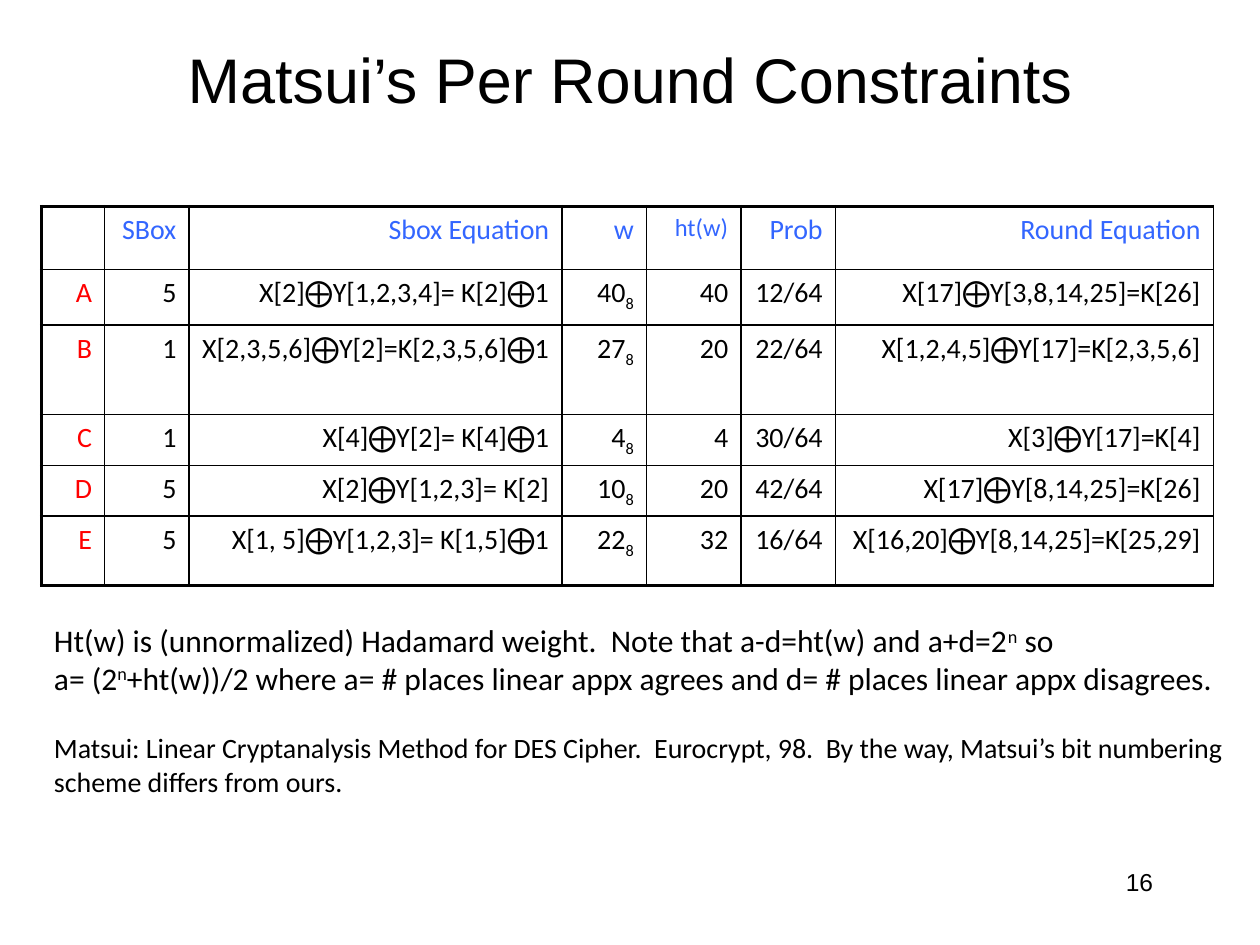
from dataclasses import dataclass

from lxml import etree
from pptx import Presentation
from pptx.dml.color import RGBColor
from pptx.enum.text import MSO_ANCHOR, MSO_AUTO_SIZE, PP_ALIGN
from pptx.oxml.ns import qn
from pptx.util import Inches, Pt

LEFT, CENTER, RIGHT = PP_ALIGN.LEFT, PP_ALIGN.CENTER, PP_ALIGN.RIGHT
MIDDLE = MSO_ANCHOR.MIDDLE
NO_FIT = MSO_AUTO_SIZE.NONE

COLS = [0.5, 0.67, 2.96, 0.67, 0.75, 0.75, 3]
ROWS = [0.5, 0.44, 0.71, 0.4, 0.4, 0.55]
HEAD = ["", "SBox", "Sbox Equation", "w", "ht(w)", "Prob", "Round Equation"]
# Text between bars is lowered in the table and raised in the notes.
BODY = [
    ["A", "5", "X[2]⨁Y[1,2,3,4]= K[2]⨁1", "40|8|", "40", "12/64",
     "X[17]⨁Y[3,8,14,25]=K[26]"],
    ["B", "1", "X[2,3,5,6]⨁Y[2]=K[2,3,5,6]⨁1", "27|8|", "20", "22/64",
     "X[1,2,4,5]⨁Y[17]=K[2,3,5,6]"],
    ["C", "1", "X[4]⨁Y[2]= K[4]⨁1", "4|8|", "4", "30/64", "X[3]⨁Y[17]=K[4]"],
    ["D", "5", "X[2]⨁Y[1,2,3]= K[2]", "10|8|", "20", "42/64",
     "X[17]⨁Y[8,14,25]=K[26]"],
    ["E", "5", "X[1, 5]⨁Y[1,2,3]= K[1,5]⨁1", "22|8|", "32", "16/64",
     "X[16,20]⨁Y[8,14,25]=K[25,29]"],
]


@dataclass(frozen=True)
class Theme:
    ink: str = "000000"
    head: str = "3366FF"
    label: str = "FF0000"
    sans: str = "Arial"
    text: str = "Calibri"
    title: int = 36
    note: int = 18
    cell: int = 16
    small: int = 14
    thin: float = 1
    thick: float = 2.25


class Deck:
    def __init__(self, theme):
        self.theme = theme
        self.prs = Presentation()
        self.prs.slide_width, self.prs.slide_height = Inches(10), Inches(7.5)
        self.slide = self.prs.slides.add_slide(self.prs.slide_layouts[5])

    def fill(self, para, text, size, font, color, align=LEFT, shift=0):
        """Fill a paragraph; parts between bars get the baseline shift."""
        para.alignment = align
        for i, part in enumerate(text.split("|")):
            if not part:
                continue
            run = para.add_run()
            run.text = part
            run.font.size, run.font.name = Pt(size), font
            run.font.color.rgb = RGBColor.from_string(color)
            if i % 2:
                run._r.get_or_add_rPr().set("baseline", str(shift * 1000))

    def title(self, text, box):
        shape = self.slide.shapes.title
        shape.left, shape.top, shape.width, shape.height = map(Inches, box)
        frame = shape.text_frame
        frame.auto_size, frame.vertical_anchor = NO_FIT, MIDDLE
        self.fill(frame.paragraphs[0], text, self.theme.title,
                  self.theme.sans, self.theme.ink, CENTER)

    def text(self, box, lines, font, align=LEFT):
        """Add a text box; each line is (text, size, space before)."""
        frame = self.slide.shapes.add_textbox(*map(Inches, box)).text_frame
        frame.word_wrap = True
        for i, (line, size, gap) in enumerate(lines):
            para = frame.add_paragraph() if i else frame.paragraphs[0]
            if gap:
                para.space_before = Pt(gap)
            self.fill(para, line, size, font, self.theme.ink, align, 30)

    def border(self, cell, widths):
        props = cell._tc.get_or_add_tcPr()
        for side, width in zip("LRTB", widths):
            line = etree.SubElement(props, qn("a:ln" + side), w=str(Pt(width)))
            paint = etree.SubElement(line, qn("a:solidFill"))
            etree.SubElement(paint, qn("a:srgbClr"), val=self.theme.ink)

    def table(self, left, top, cols, rows, data):
        t = self.theme
        size = map(Inches, (left, top, sum(cols), sum(rows)))
        grid = self.slide.shapes.add_table(len(rows), len(cols), *size).table
        grid.first_row = grid.horz_banding = False
        for col, width in zip(grid.columns, cols):
            col.width = Inches(width)
        for row, height in zip(grid.rows, rows):
            row.height = Inches(height)
        for r, line in enumerate(data):
            for c, value in enumerate(line):
                cell = grid.cell(r, c)
                color = t.head if r == 0 else t.label if c == 0 else t.ink
                pt = t.small if value == "ht(w)" else t.cell
                self.fill(cell.text_frame.paragraphs[0], value, pt, t.text,
                          color, RIGHT, -25)
                edges = (c == 0, False, r == 0, r == len(rows) - 1)
                self.border(cell, [t.thick if e else t.thin for e in edges])
                cell.fill.background()


def main():
    theme = Theme()
    deck = Deck(theme)
    deck.text((7.17, 6.83, 2.08, 0.5), [("16", theme.small, 0)],
              theme.sans, RIGHT)
    deck.title("Matsui’s Per Round Constraints", (0.75, 0.25, 8.5, 0.75))
    deck.table(0.33, 1.64, COLS, ROWS, [HEAD] + BODY)
    deck.text((0.33, 4.88, 9.69, 1.51), [
        ("Ht(w) is (unnormalized) Hadamard weight.  Note that a-d=ht(w) "
         "and a+d=2|n| so", theme.note, 0),
        ("a= (2|n|+ht(w))/2 where a= # places linear appx agrees and "
         "d= # places linear appx disagrees.", theme.note, 0),
        ("Matsui: Linear Cryptanalysis Method for DES Cipher.  Eurocrypt, 98.  "
         "By the way, Matsui’s bit numbering scheme differs from ours.",
         theme.cell, 19.5),
    ], theme.text)
    deck.prs.save("out.pptx")


if __name__ == "__main__":
    main()
